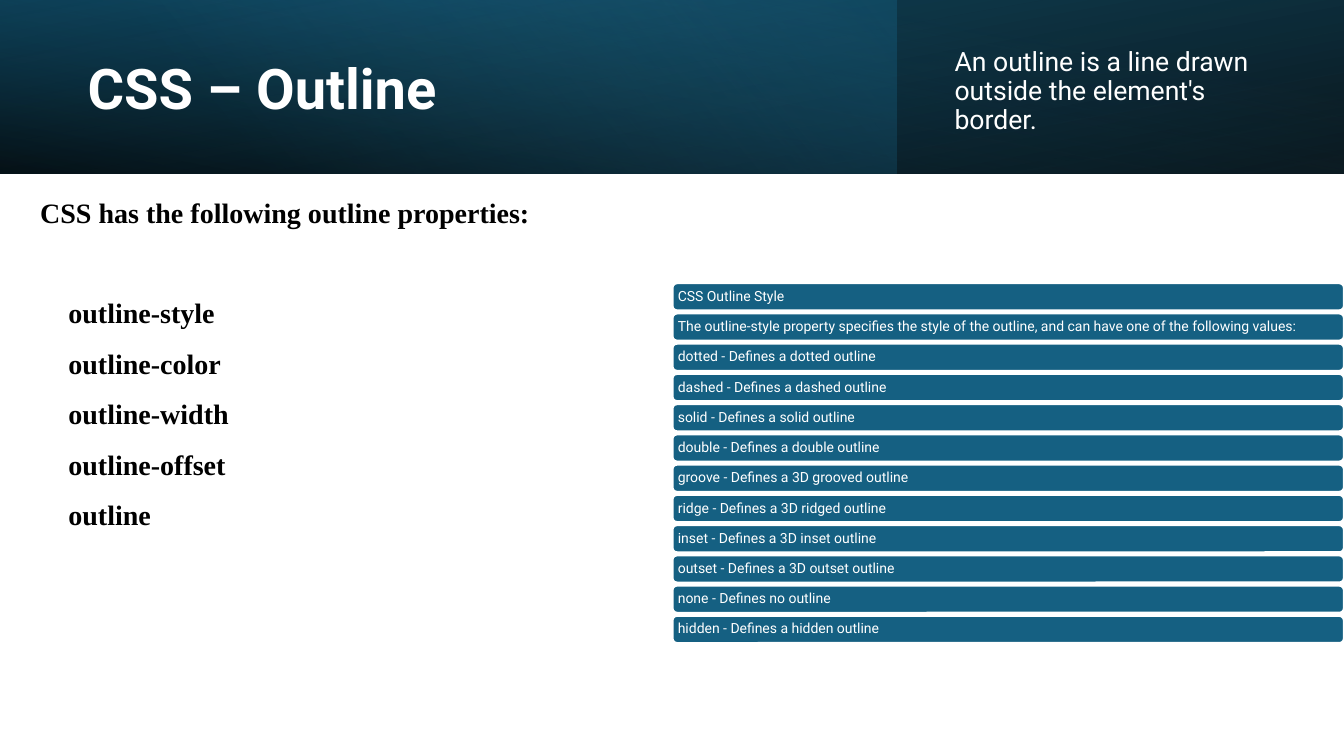
"""Build a slide on the CSS outline properties."""
from dataclasses import dataclass
from typing import Optional

from pptx import Presentation
from pptx.dml.color import RGBColor as Rgb
from pptx.enum.shapes import MSO_SHAPE as Kind
from pptx.enum.text import MSO_ANCHOR as Anchor, MSO_AUTO_SIZE as Auto, PP_ALIGN as Align
from pptx.oxml.ns import qn
from pptx.oxml.xmlchemy import OxmlElement as Node
from pptx.util import Inches, Pt

HUES = {"black": "000000", "white": "FFFFFF", "deep": "104862",
        "blue": "156082", "sky": "46B1E1"}
WIDE, TALL, HEAD = 13.33, 7.5, 1.72


@dataclass
class Stop:
    hue: str
    spot: float
    alpha: int


@dataclass
class Band:
    width: float
    stops: tuple[Stop, Stop]
    angle: int
    turn: int = 0
    flip: bool = False


@dataclass
class Block:
    box: tuple[float, float, float, float]
    lines: list[str]
    size: int
    font: str = "Roboto"
    hue: str = "white"
    bold: bool = False
    space: float = 0.9
    anchor: Anchor = Anchor.MIDDLE
    inset: Optional[float] = None


BANDS = [
    Band(WIDE, (Stop("black", 0, 96), Stop("deep", 1, 100)), 100, 180, True),
    Band(8.89, (Stop("blue", 0, 41), Stop("sky", 0.74, 0)), 140),
    Band(WIDE, (Stop("black", 0, 63), Stop("blue", 0.78, 15)), 260, 0, True),
]
TITLE = Block((0.77, 0.27, 7.72, 1.27), ["CSS – Outline"], 40, bold=True)
INTRO = Block((9.37, 0.43, 3.54, 0.96),
              ["An outline is a line drawn outside the element's border."], 19)
PROPS = Block((0.3, HEAD, 5.14, 3.57),
              ["CSS has the following outline properties:", "outline-style",
               "outline-color", "outline-width", "outline-offset", "outline"],
              20, "Times New Roman", "black", True, 1.5, Anchor.TOP)
STYLES = [
    "CSS Outline Style",
    "The outline-style property specifies the style of the outline, "
    "and can have one of the following values:",
    "dotted - Defines a dotted outline",
    "dashed - Defines a dashed outline",
    "solid - Defines a solid outline",
    "double - Defines a double outline",
    "groove - Defines a 3D grooved outline",
    "ridge - Defines a 3D ridged outline",
    "inset - Defines a 3D inset outline",
    "outset - Defines a 3D outset outline",
    "none - Defines no outline",
    "hidden - Defines a hidden outline",
]
LEFT, TOP, STEP, BAR = 6.67, 2.81, 0.3, 0.27


def color(name: str) -> Rgb:
    return Rgb.from_string(HUES[name])


def draw_band(slide, band: Band) -> None:
    shape = slide.shapes.add_shape(Kind.RECTANGLE, 0, 0, Inches(band.width), Inches(HEAD))
    shape.shadow.inherit = False
    shape.line.fill.background()
    shape.rotation = band.turn
    if band.flip:
        shape._element.spPr.xfrm.set("flipH", "1")
    shape.fill.gradient()
    shape.fill.gradient_angle = 360 - band.angle
    for stop, part in zip(band.stops, shape.fill.gradient_stops):
        part.color.rgb = color(stop.hue)
        part.position = stop.spot
    tints = shape._element.spPr.iter(qn("a:srgbClr"))
    for stop, tint in zip(band.stops, list(tints)):
        alpha = Node("a:alpha")
        alpha.set("val", str(stop.alpha * 1000))
        tint.append(alpha)


def set_text(shape, block: Block) -> None:
    frame = shape.text_frame
    frame.text = "\n".join(block.lines)
    frame.word_wrap = True
    frame.vertical_anchor = block.anchor
    if block.inset is not None:
        frame.margin_left = frame.margin_right = Inches(block.inset)
        frame.margin_top = frame.margin_bottom = Inches(block.inset)
    for para in frame.paragraphs:
        para.alignment = Align.LEFT
        para.line_spacing = block.space
        for run in para.runs:
            font = run.font
            font.name, font.size, font.bold = block.font, Pt(block.size), block.bold
            font.color.rgb = color(block.hue)


def draw_text(slide, block: Block):
    shape = slide.shapes.add_textbox(*map(Inches, block.box))
    set_text(shape, block)
    return shape.text_frame


def draw_props(slide) -> None:
    frame = draw_text(slide, PROPS)
    frame.auto_size = Auto.SHAPE_TO_FIT_TEXT
    items = frame.paragraphs[1:]
    items[0].space_before = Pt(36)
    for para in items:
        para._p.get_or_add_pPr().set("marL", str(Inches(0.28)))


def draw_bar(slide, row: int, text: str) -> None:
    box = (LEFT, TOP + row * STEP, WIDE - LEFT, BAR)
    shape = slide.shapes.add_shape(Kind.ROUNDED_RECTANGLE, *map(Inches, box))
    shape.shadow.inherit = False
    shape.fill.solid()
    shape.fill.fore_color.rgb = color("blue")
    shape.line.color.rgb = color("white")
    shape.line.width = Pt(1.5)
    set_text(shape, Block(box, [text], 10, inset=0.04))


def main() -> None:
    deck = Presentation()
    deck.slide_width, deck.slide_height = Inches(WIDE), Inches(TALL)
    slide = deck.slides.add_slide(deck.slide_layouts[6])
    for band in BANDS:
        draw_band(slide, band)
    for block in (TITLE, INTRO):
        draw_text(slide, block)
    draw_props(slide)
    for row, text in enumerate(STYLES):
        draw_bar(slide, row, text)
    deck.save("out.pptx")


if __name__ == "__main__":
    main()
